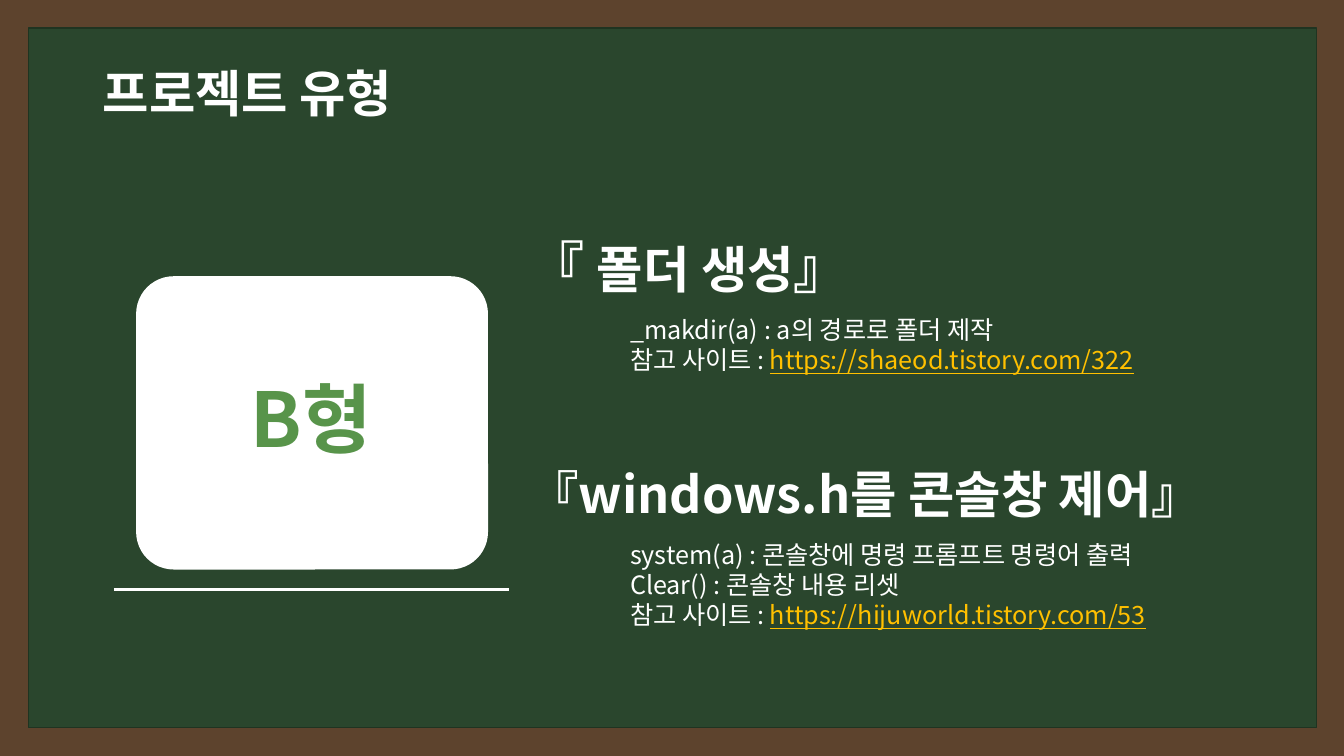
from pptx import Presentation
from pptx.dml.color import RGBColor
from pptx.enum.shapes import MSO_CONNECTOR, MSO_SHAPE
from pptx.enum.text import MSO_ANCHOR as Anchor, MSO_AUTO_SIZE as AutoSize, PP_ALIGN as Align
from pptx.oxml.ns import qn
from pptx.util import Inches, Pt
from lxml import etree

FONT = "Noto Sans CJK KR"
BROWN = RGBColor(0x5D, 0x43, 0x2D)
BOARD = RGBColor(0x2A, 0x46, 0x2D)
BOARD_EDGE = RGBColor(0x1F, 0x34, 0x21)
WHITE = RGBColor(0xFF, 0xFF, 0xFF)
GREEN = RGBColor(0x58, 0x94, 0x4A)
YELLOW = RGBColor(0xFF, 0xC0, 0x00)

deck = Presentation()
deck.slide_width, deck.slide_height = Inches(13.33), Inches(7.5)
page = deck.slides.add_slide(deck.slide_layouts[6])
page.background.fill.solid()
page.background.fill.fore_color.rgb = BROWN


def add_panel(kind, left, top, width, height, color):
    panel = page.shapes.add_shape(kind, Inches(left), Inches(top), Inches(width), Inches(height))
    panel.shadow.inherit = False
    panel.fill.solid()
    panel.fill.fore_color.rgb = color
    panel.line.fill.background()
    return panel


def add_text(left, top, width, height, lines, bold=False):
    """Each line is a list of (text, size, color) runs; yellow runs are underlined."""
    box = page.shapes.add_textbox(Inches(left), Inches(top), Inches(width), Inches(height))
    frame = box.text_frame
    frame.word_wrap = True
    frame.auto_size = AutoSize.SHAPE_TO_FIT_TEXT
    for number, line in enumerate(lines):
        para = frame.add_paragraph() if number else frame.paragraphs[0]
        for text, size, color in line:
            span = para.add_run()
            span.text = text
            span.font.size = Pt(size)
            span.font.name = FONT
            span.font.bold = bold
            span.font.color.rgb = color
            if color == YELLOW:
                span.font.underline = True
            east_asian = etree.SubElement(span.font._element, qn("a:ea"))
            east_asian.set("typeface", FONT)
    return frame


# Chalkboard and title
board = add_panel(MSO_SHAPE.RECTANGLE, 0.28, 0.28, 12.78, 6.94, BOARD)
board.line.color.rgb = BOARD_EDGE
board.line.width = Pt(1)
title = add_text(0.92, 0.4, 11.5, 1.11, [[("프로젝트 유형", 36, WHITE)]], bold=True)
title.auto_size = AutoSize.NONE
title.vertical_anchor = Anchor.MIDDLE
title.paragraphs[0].line_spacing = 0.9

# Type card with its underline
card = add_panel(MSO_SHAPE.ROUNDED_RECTANGLE, 1.35, 2.74, 3.49, 2.91, WHITE)
card.adjustments[0] = 0.128
underline = page.shapes.add_connector(
    MSO_CONNECTOR.STRAIGHT, Inches(1.13), Inches(5.85), Inches(5.05), Inches(5.85))
underline.line.color.rgb = WHITE
underline.line.width = Pt(2.25)
etree.SubElement(underline._element.spPr, qn("a:effectLst"))
card_label = add_text(2.37, 3.64, 1.44, 1.01, [[("B형", 54, GREEN)]], bold=True)
card_label.word_wrap = False
card_label.paragraphs[0].alignment = Align.CENTER

# Topics: heading, explanations and reference site
topics = [
    (2.26, 1.38, [("『 ", 40, WHITE), ("폴더 생성", 36, WHITE), ("』", 40, WHITE)],
     3.07, 1.01, ["_makdir(a) : a의 경로로 폴더 제작"],
     "https://shaeod.tistory.com/322"),
    (4.54, 1.31, [("『windows.h를 콘솔창 제어』", 36, WHITE)],
     5.3, 1.31, ["system(a) : 콘솔창에 명령 프롬프트 명령어 출력", "Clear() : 콘솔창 내용 리셋"],
     "https://hijuworld.tistory.com/53"),
]
for heading_top, heading_height, heading, body_top, body_height, notes, site in topics:
    add_text(5.14, heading_top, 7.18, heading_height, [heading], bold=True)
    body = [[(note, 18, WHITE)] for note in notes]
    body.append([("참고 사이트 : ", 18, WHITE), (site, 18, YELLOW)])
    add_text(6.15, body_top, 7.18, body_height, body)

deck.save("out.pptx")
